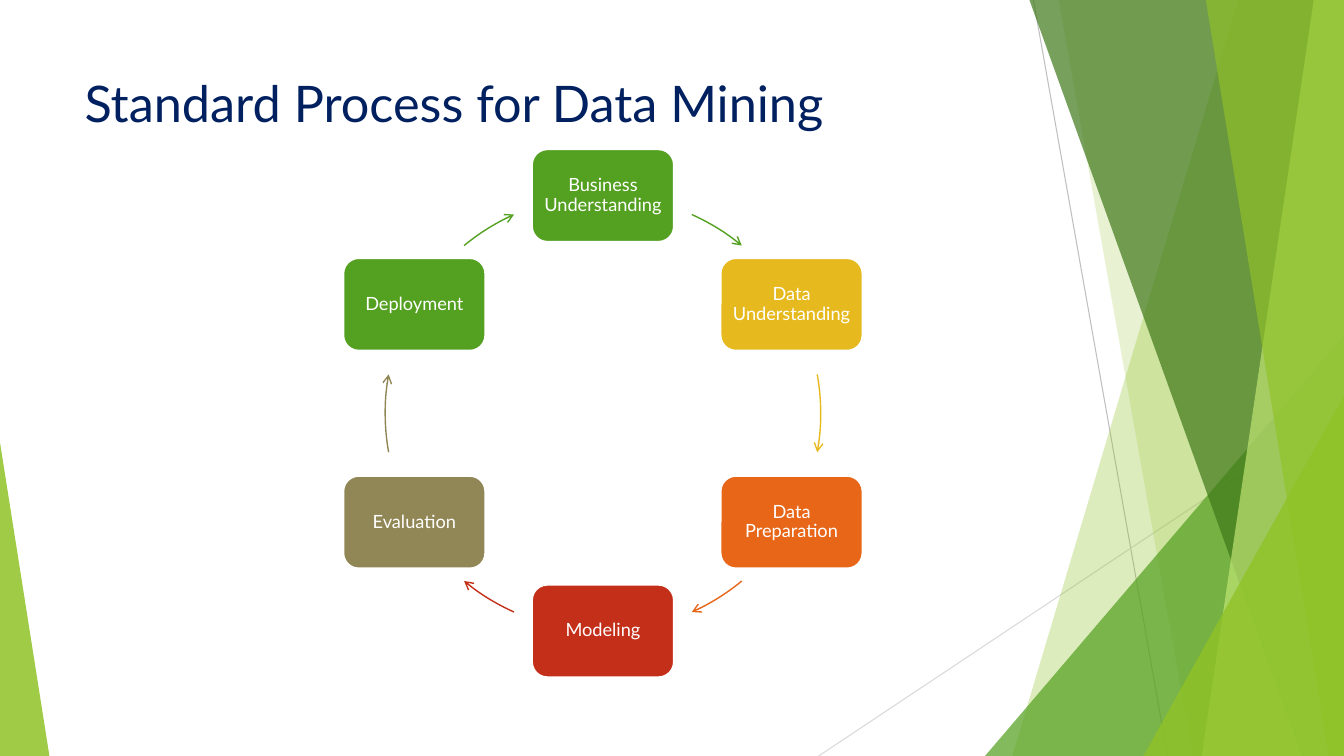
from dataclasses import dataclass
from math import cos, radians, sin

from pptx import Presentation
from pptx.dml.color import RGBColor
from pptx.enum.shapes import MSO_CONNECTOR, MSO_SHAPE
from pptx.enum.text import MSO_ANCHOR, PP_ALIGN
from pptx.oxml.ns import qn
from pptx.util import Inches, Pt
from lxml.etree import SubElement


@dataclass(frozen=True)
class Theme:
    font: str = "Lato"
    title: int = 36
    label: int = 13
    navy: str = "002060"
    white: str = "FFFFFF"
    lime: str = "90C226"
    pale: str = "C0E474"
    green: str = "54A021"
    dark: str = "3F7819"
    gold: str = "E6B91E"
    orange: str = "E76618"
    red: str = "C42F1A"
    olive: str = "918655"
    gray: str = "BFBFBF"
    light: str = "D9D9D9"


THEME = Theme()
WIDTH, HEIGHT = 13.33, 7.5

# Ring of steps: center, radius and box size in inches
MID_X, MID_Y, RADIUS = 5.98, 4.1, 2.16
BOX_W, BOX_H = 1.41, 0.92
STEPS = [
    ("Business Understanding", THEME.green),
    ("Data Understanding", THEME.gold),
    ("Data Preparation", THEME.orange),
    ("Modeling", THEME.red),
    ("Evaluation", THEME.olive),
    ("Deployment", THEME.green),
]
# Arrow spans in degrees clockwise from the top; they repeat each half turn
SPANS = [(24.1, 39.6), (79.7, 100.3), (140.4, 155.9)]


def paint(shape, color, alpha=100):
    """Fill a shape without outline or shadow."""
    shape.shadow.inherit = False
    shape.fill.solid()
    shape.fill.fore_color.rgb = RGBColor.from_string(color)
    shape.line.fill.background()
    if alpha < 100:
        tint = shape.element.spPr.find(qn("a:solidFill"))[0]
        SubElement(tint, qn("a:alpha"), val=str(alpha * 1000))


def stroke(shape, color, width):
    shape.line.color.rgb = RGBColor.from_string(color)
    shape.line.width = Pt(width)


def write(shape, text, size, color, align=PP_ALIGN.LEFT,
          anchor=MSO_ANCHOR.TOP, pad=(0.1, 0.05), leading=1.0):
    frame = shape.text_frame
    frame.word_wrap = True
    frame.vertical_anchor = anchor
    frame.margin_left = frame.margin_right = Inches(pad[0])
    frame.margin_top = frame.margin_bottom = Inches(pad[1])
    para = frame.paragraphs[0]
    para.alignment = align
    para.line_spacing = leading
    run = para.add_run()
    run.text = text
    run.font.name = THEME.font
    run.font.size = Pt(size)
    run.font.color.rgb = RGBColor.from_string(color)


def add_line(slide, start, end, color):
    points = [Inches(n) for n in (*start, *end)]
    line = slide.shapes.add_connector(MSO_CONNECTOR.STRAIGHT, *points)
    stroke(line, color, 0.75)
    SubElement(line.element.spPr, qn("a:effectLst"))


def add_band(slide, top, foot, color, alpha):
    """Band from a slanted left edge to the right side of the slide."""
    points = [(top, 0), (WIDTH, 0), (WIDTH, HEIGHT), (foot, HEIGHT)]
    points = [(Inches(x), Inches(y)) for x, y in points]
    path = slide.shapes.build_freeform(*points[0])
    path.add_line_segments(points[1:], close=True)
    paint(path.convert_to_shape(), color, alpha)


def add_wedge(slide, left, top, width, peak, color, alpha):
    """Triangle that stands on the bottom edge of the slide."""
    wedge = slide.shapes.add_shape(
        MSO_SHAPE.ISOSCELES_TRIANGLE, Inches(left), Inches(top),
        Inches(width), Inches(HEIGHT - top))
    wedge.adjustments[0] = peak
    paint(wedge, color, alpha)


def add_step(slide, text, color, turn):
    x = MID_X + RADIUS * sin(radians(turn)) - BOX_W / 2
    y = MID_Y - RADIUS * cos(radians(turn)) - BOX_H / 2
    box = slide.shapes.add_shape(
        MSO_SHAPE.ROUNDED_RECTANGLE, Inches(x), Inches(y),
        Inches(BOX_W), Inches(BOX_H))
    paint(box, color)
    stroke(box, THEME.white, 1.5)
    write(box, text, THEME.label, THEME.white, align=PP_ALIGN.CENTER,
          anchor=MSO_ANCHOR.MIDDLE, pad=(0.05, 0.05), leading=0.9)


def add_arc(slide, start, end, color):
    arc = slide.shapes.add_shape(
        MSO_SHAPE.ARC, Inches(MID_X - RADIUS), Inches(MID_Y - RADIUS),
        Inches(2 * RADIUS), Inches(2 * RADIUS))
    # Arc angles run from the right side, in units of 0.6 per degree
    for i, turn in enumerate((start, end)):
        arc.adjustments[i] = (turn - 90) % 360 * 0.6
    arc.shadow.inherit = False
    arc.fill.background()
    stroke(arc, color, 1)
    SubElement(arc.element.spPr.find(qn("a:ln")), qn("a:tailEnd"),
               type="arrow")


def add_decor(slide):
    add_line(slide, (10.25, 0), (11.58, HEIGHT), THEME.gray)
    add_line(slide, (WIDTH, 4.03), (8.12, HEIGHT), THEME.light)
    add_band(slide, 12.28, 10.04, THEME.lime, 30)
    add_band(slide, 10.5, 11.83, THEME.lime, 20)
    add_wedge(slide, 9.77, 3.33, 3.56, 1, THEME.green, 72)
    add_band(slide, 10.21, 12.91, THEME.dark, 70)
    add_band(slide, 13.03, 11.92, THEME.pale, 70)
    add_band(slide, 11.96, 13.18, THEME.lime, 65)
    add_wedge(slide, 11.34, 3.93, 1.99, 1, THEME.lime, 80)
    add_wedge(slide, 0, 4.39, 0.49, 0, THEME.lime, 85)


def main():
    deck = Presentation()
    deck.slide_width, deck.slide_height = Inches(WIDTH), Inches(HEIGHT)
    slide = deck.slides.add_slide(deck.slide_layouts[6])

    # Backdrop and title
    add_decor(slide)
    title = slide.shapes.add_textbox(
        Inches(0.74), Inches(0.67), Inches(9.4), Inches(1.44))
    write(title, "Standard Process for Data Mining", THEME.title, THEME.navy)

    # Cycle of steps, each followed by its arrow
    for i, (text, color) in enumerate(STEPS):
        add_step(slide, text, color, 60 * i)
        half, part = divmod(i, len(SPANS))
        start, end = (turn + 180 * half for turn in SPANS[part])
        add_arc(slide, start, end, color)

    deck.save("out.pptx")


if __name__ == "__main__":
    main()
